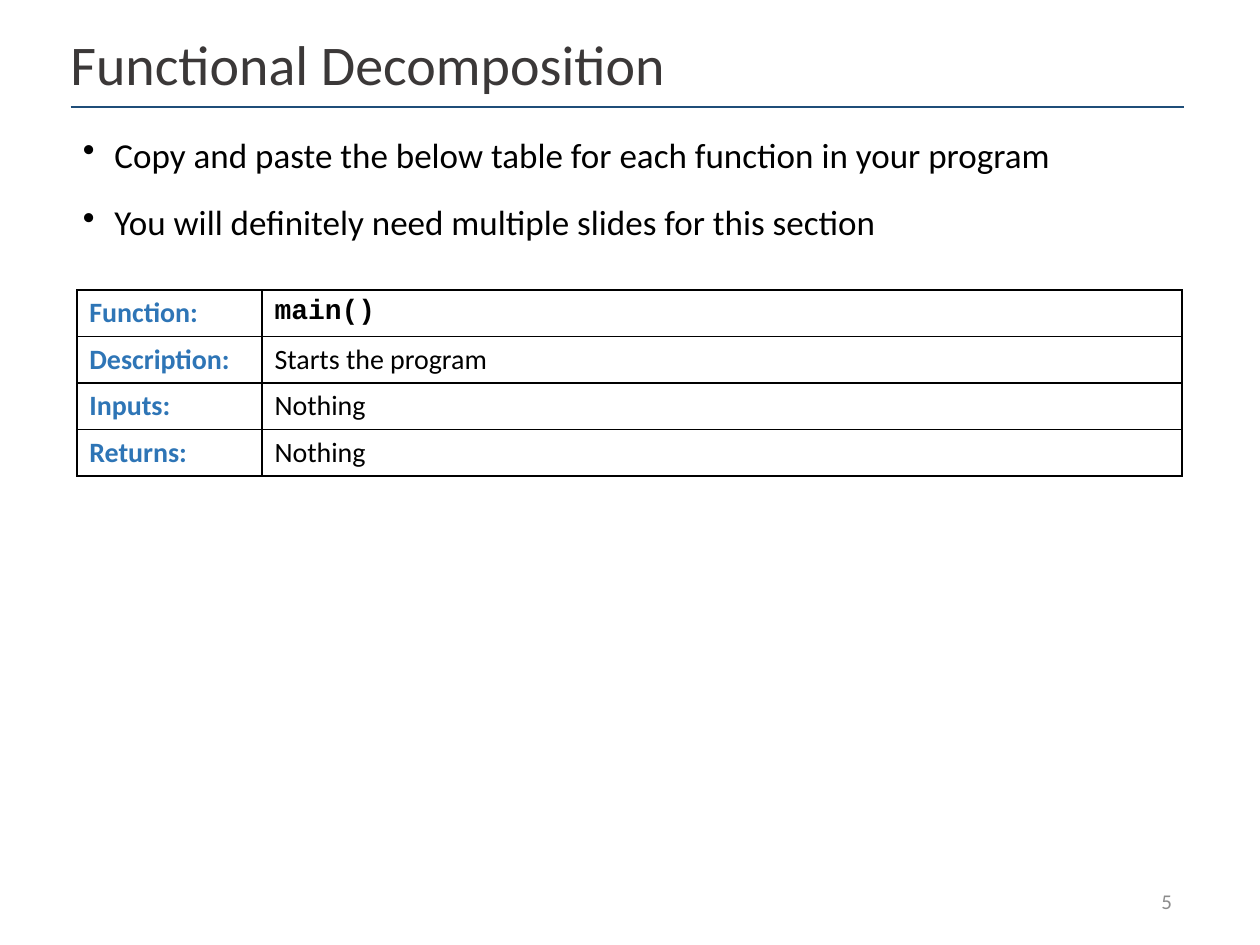
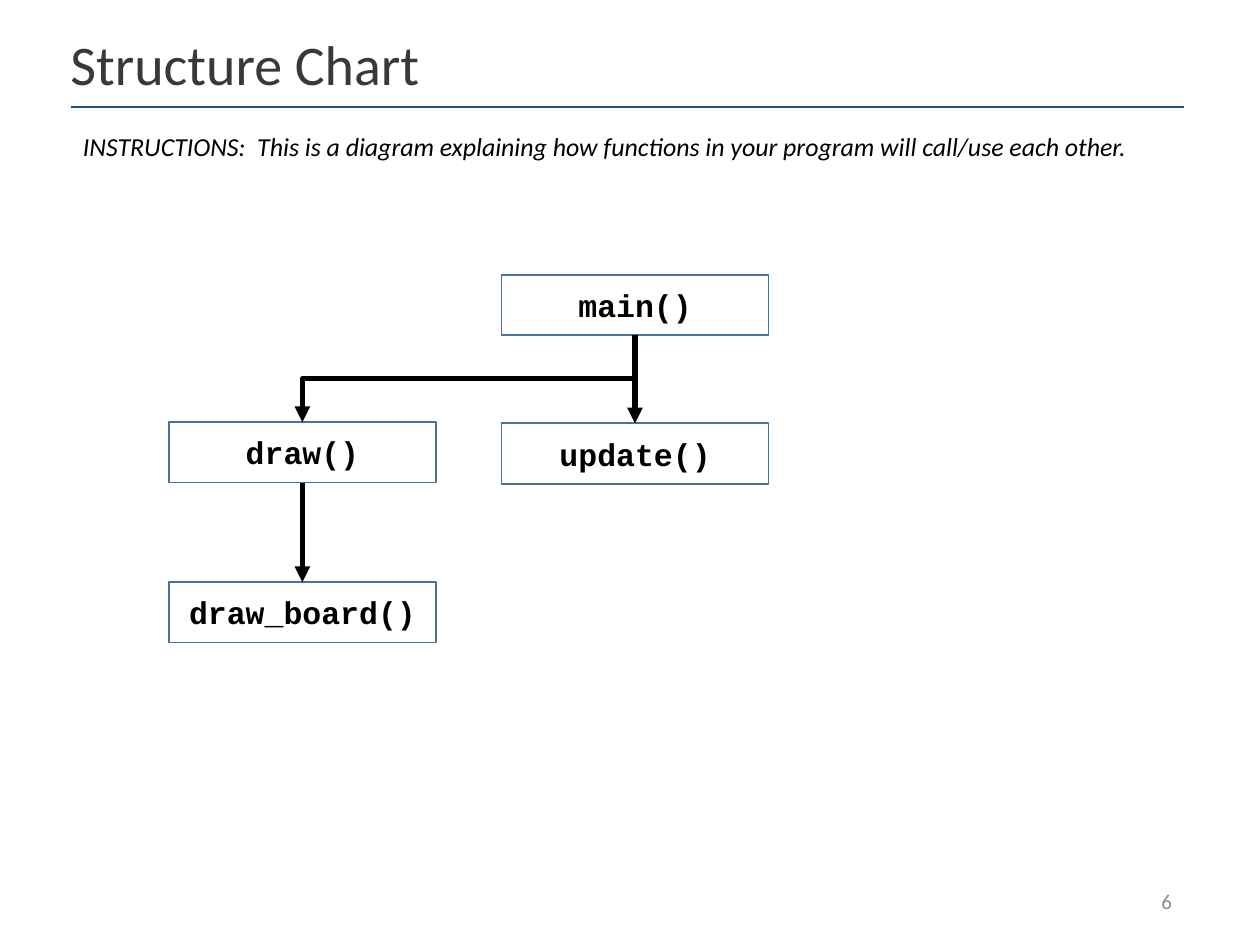
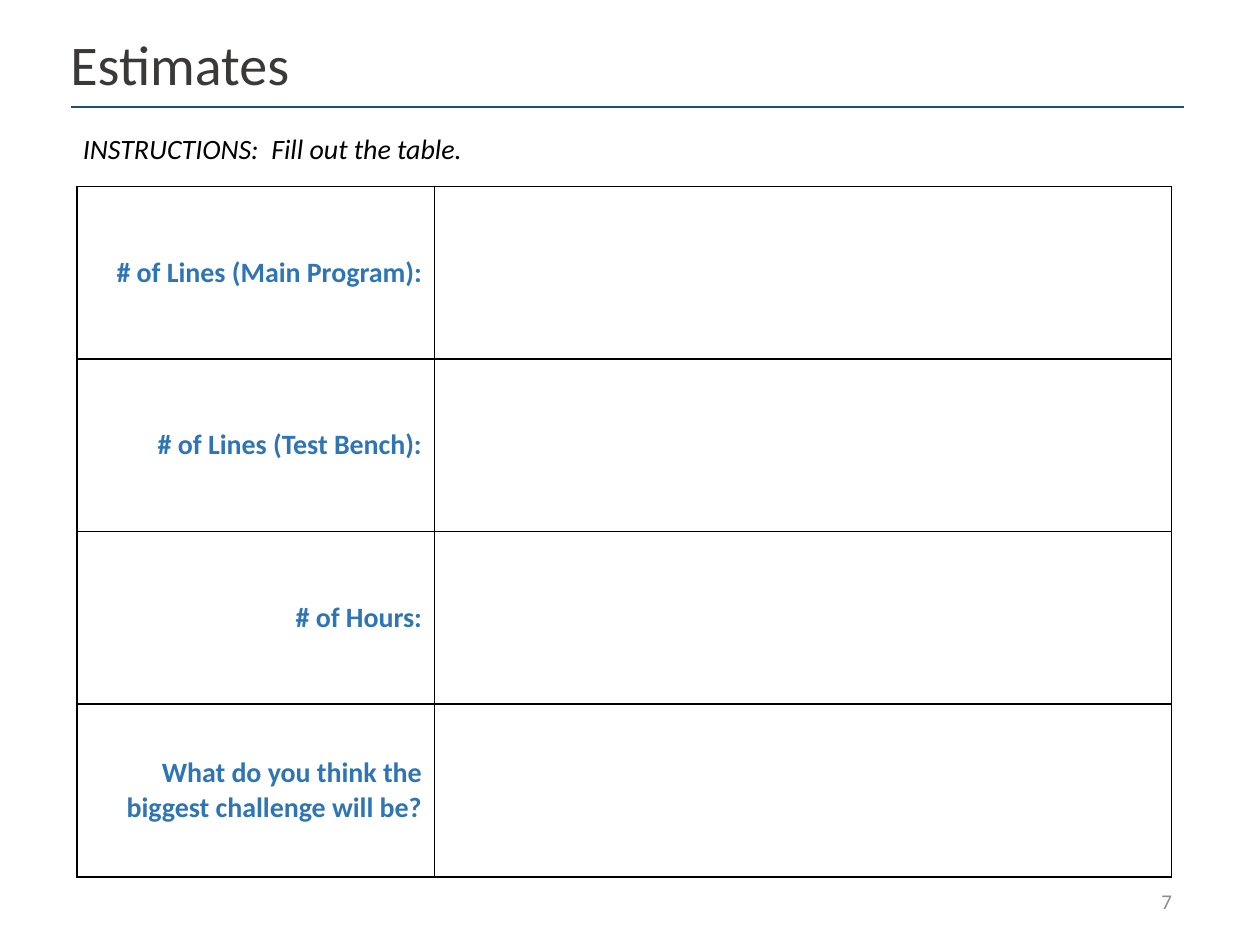
from pptx import Presentation
from pptx.dml.color import RGBColor
from pptx.enum.shapes import MSO_CONNECTOR, MSO_SHAPE
from pptx.enum.text import MSO_ANCHOR, PP_ALIGN
from pptx.oxml import parse_xml
from pptx.oxml.ns import nsdecls, qn
from pptx.util import Inches, Pt

LEFT, CENTER, RIGHT = PP_ALIGN.LEFT, PP_ALIGN.CENTER, PP_ALIGN.RIGHT
TOP, MIDDLE = MSO_ANCHOR.TOP, MSO_ANCHOR.MIDDLE
STRAIGHT, ELBOW = MSO_CONNECTOR.STRAIGHT, MSO_CONNECTOR.ELBOW
RECT = MSO_SHAPE.RECTANGLE

BLACK = RGBColor(0x00, 0x00, 0x00)
INK = RGBColor(0x3B, 0x38, 0x38)
GRAY = RGBColor(0x8C, 0x8C, 0x8C)
NAVY = RGBColor(0x1F, 0x4E, 0x79)
BLUE = RGBColor(0x2E, 0x75, 0xB6)
STEEL = RGBColor(0x43, 0x73, 0x9E)

BODY, CODE = "Calibri", "Courier New"
BOTTOM_SITE, TOP_SITE = 2, 0


class Deck:
    """Holds the shared style and the current slide."""

    def __init__(self):
        self.prs = Presentation()
        self.prs.slide_width, self.prs.slide_height = Inches(10), Inches(7.5)
        self.slide = None

    def page(self, title, number):
        self.slide = self.prs.slides.add_slide(self.prs.slide_layouts[6])
        rule = self.slide.shapes.add_connector(
            STRAIGHT, Inches(0.56), Inches(0.85), Inches(9.4), Inches(0.85))
        self.stroke(rule, NAVY, 1)
        para = self.box(0.46, 0.23, 8.95, 0.61, MIDDLE).paragraphs[0]
        para.line_spacing = 0.9
        self.run(para, title, 32, INK)
        para = self.box(7.15, 6.95, 2.25, 0.4, MIDDLE).paragraphs[0]
        para.alignment = RIGHT
        self.run(para, str(number), 12, GRAY)

    def run(self, para, text, size, color=BLACK, name=BODY, bold=False, italic=False):
        run = para.add_run()
        run.text = text
        font = run.font
        font.size, font.name = Pt(size), name
        font.bold, font.italic = bold, italic
        font.color.rgb = color

    def box(self, x, y, w, h, anchor=TOP):
        frame = self.slide.shapes.add_textbox(
            Inches(x), Inches(y), Inches(w), Inches(h)).text_frame
        frame.word_wrap = True
        frame.vertical_anchor = anchor
        return frame

    def body(self, lines, size, h, bullet=False, italic=False):
        frame = self.box(0.56, 0.94, 8.85, h)
        for i, text in enumerate(lines):
            para = frame.add_paragraph() if i else frame.paragraphs[0]
            para.line_spacing, para.space_before = 1.2, Pt(10)
            if bullet:
                props = para._p.get_or_add_pPr()
                props.set("marL", str(Inches(0.25)))
                props.set("indent", str(-Inches(0.25)))
                props.append(parse_xml(f'<a:buChar {nsdecls("a")} char="•"/>'))
            self.run(para, text, size, italic=italic)

    def stroke(self, line, color, width, arrow=False):
        line.line.color.rgb = color
        line.line.width = Pt(width)
        props = line._element.spPr
        if arrow:
            props.find(qn("a:ln")).append(
                parse_xml(f'<a:tailEnd {nsdecls("a")} type="triangle"/>'))
        props.append(parse_xml(f'<a:effectLst {nsdecls("a")}/>'))

    def node(self, x, y, text):
        shape = self.slide.shapes.add_shape(
            RECT, Inches(x), Inches(y), Inches(2.12), Inches(0.48))
        shape.shadow.inherit = False
        shape.fill.background()
        shape.line.color.rgb, shape.line.width = STEEL, Pt(1)
        shape.text_frame.vertical_anchor = MIDDLE
        para = shape.text_frame.paragraphs[0]
        para.alignment = CENTER
        self.run(para, text, 18, name=CODE, bold=True)
        return shape

    def call(self, upper, lower, kind=STRAIGHT):
        """Arrow from the bottom of one node to the top of another."""
        line = self.slide.shapes.add_connector(kind, 0, 0, 0, 0)
        line.begin_connect(upper, BOTTOM_SITE)
        line.end_connect(lower, TOP_SITE)
        if kind == ELBOW:
            # A quarter turn makes the elbow leave downwards
            x, y, w, h = line.left, line.top, line.width, line.height
            line.left, line.top = x + (w - h) // 2, y + (h - w) // 2
            line.width, line.height = h, w
            frame = line._element.spPr.xfrm
            frame.flipH, frame.rot = False, 90
        self.stroke(line, BLACK, 3, arrow=True)

    def table(self, x, y, widths, high, rows, align=LEFT, anchor=TOP):
        """Each row is a label, a value and the font of the value."""
        table = self.slide.shapes.add_table(
            len(rows), len(widths), Inches(x), Inches(y),
            Inches(sum(widths)), Inches(high * len(rows))).table
        table.first_row = table.horz_banding = False
        for col, width in zip(table.columns, widths):
            col.width = Inches(width)
        for i, (label, value, name) in enumerate(rows):
            table.rows[i].height = Inches(high)
            head, cell = table.cell(i, 0), table.cell(i, 1)
            self.edge(head)
            self.edge(cell)
            head.vertical_anchor = anchor
            para = head.text_frame.paragraphs[0]
            para.alignment = align
            self.run(para, label, 16, BLUE, bold=True)
            if value:
                self.run(cell.text_frame.paragraphs[0], value, 16,
                         name=name, bold=name == CODE)

    def edge(self, cell):
        props = cell._tc.get_or_add_tcPr()
        for side in "LRTB":
            props.append(parse_xml(
                f'<a:ln{side} {nsdecls("a")} w="{Pt(1)}"><a:solidFill>'
                f'<a:srgbClr val="{BLACK}"/></a:solidFill></a:ln{side}>'))
        cell.fill.background()


def main():
    deck = Deck()

    # Functional decomposition
    deck.page("Functional Decomposition", 5)
    deck.table(0.61, 2.3, [1.47, 7.3], 0.37, [
        ("Function:", "main()", CODE),
        ("Description:", "Starts the program", BODY),
        ("Inputs:", "Nothing", BODY),
        ("Returns:", "Nothing", BODY),
    ])
    deck.body(["Copy and paste the below table for each function in your program",
               "You will definitely need multiple slides for this section"],
              20, 1.1, bullet=True)

    # Structure chart
    deck.page("Structure Chart", 6)
    deck.body(["INSTRUCTIONS:  This is a diagram explaining how functions in "
               "your program will call/use each other."], 14.8, 0.61, italic=True)
    near, far = 1.34, 3.98
    start = deck.node(far, 2.18, "main()")
    draw = deck.node(near, 3.35, "draw()")
    update = deck.node(far, 3.36, "update()")
    board = deck.node(near, 4.62, "draw_board()")
    deck.call(start, draw, ELBOW)
    deck.call(draw, board)
    deck.call(start, update)

    # Estimates
    deck.page("Estimates", 7)
    deck.body(["INSTRUCTIONS:  Fill out the table."], 16, 0.61, italic=True)
    asks = ["# of Lines (Main Program):", "# of Lines (Test Bench):",
            "# of Hours:", "What do you think the biggest challenge will be?"]
    deck.table(0.61, 1.48, [2.84, 5.85], 1.37,
               [(ask, "", BODY) for ask in asks], RIGHT, MIDDLE)

    deck.prs.save("out.pptx")


if __name__ == "__main__":
    main()
